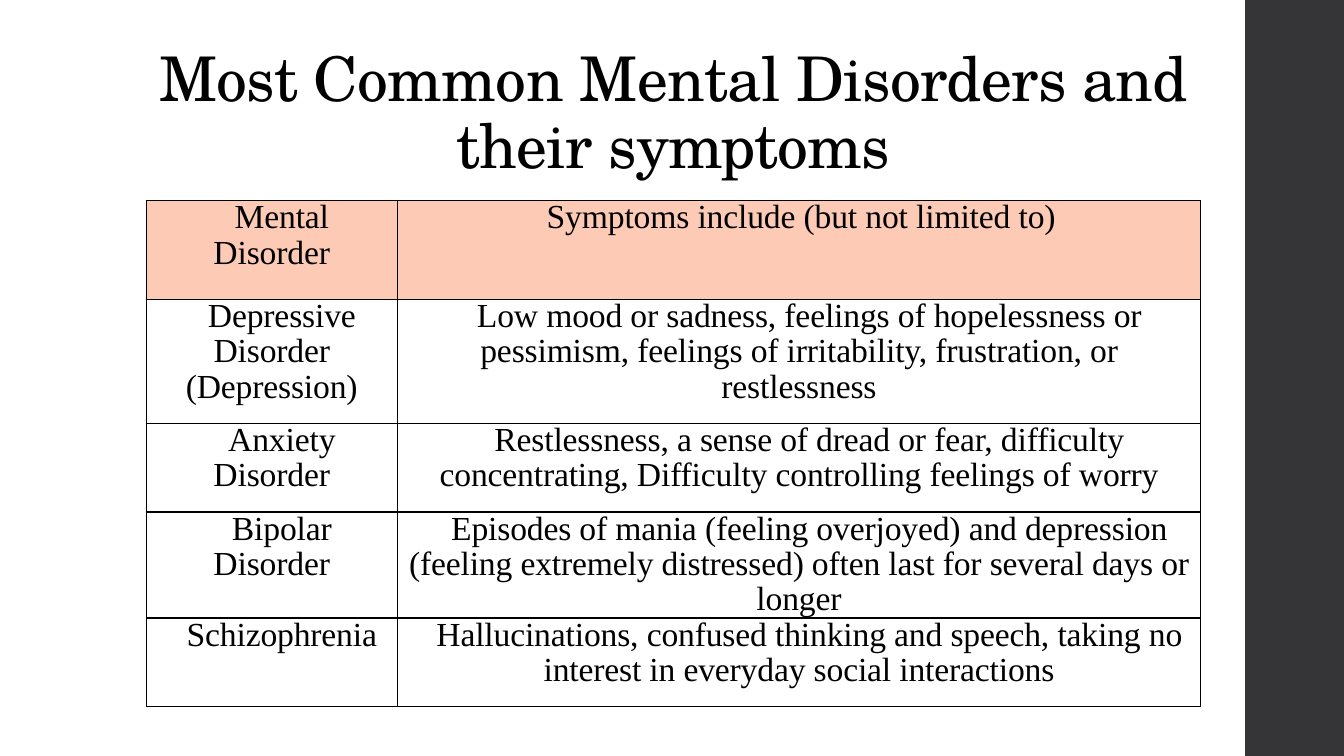
from lxml import etree
from pptx import Presentation
from pptx.dml.color import RGBColor
from pptx.enum.shapes import MSO_SHAPE
from pptx.enum.text import MSO_ANCHOR, MSO_AUTO_SIZE, PP_ALIGN
from pptx.oxml.ns import qn
from pptx.util import Inches, Pt

RECT = MSO_SHAPE.RECTANGLE
TOP, BOTTOM = MSO_ANCHOR.TOP, MSO_ANCHOR.BOTTOM
CENTER = PP_ALIGN.CENTER
NO_FIT = MSO_AUTO_SIZE.NONE

COLORS = {"ink": "000000", "band": "353537", "head": "FDCAB5", "page": "FFFFFF"}
SERIF, SCHOOL = "Times New Roman", "TeX Gyre Schola"

COLS = [2.49, 7.97]
HEIGHTS = [0.98, 1.23, 0.88, 0.88, 0.88]
ROWS = [
    ("Mental Disorder", "Symptoms include (but not limited to)"),
    ("Depressive Disorder (Depression)",
     "Low mood or sadness, feelings of hopelessness or pessimism, "
     "feelings of irritability, frustration, or restlessness"),
    ("Anxiety Disorder",
     "Restlessness, a sense of dread or fear, difficulty concentrating, "
     "Difficulty controlling feelings of worry"),
    ("Bipolar Disorder",
     "Episodes of mania (feeling overjoyed) and depression "
     "(feeling extremely distressed) often last for several days or longer"),
    ("Schizophrenia",
     "Hallucinations, confused thinking and speech, "
     "taking no interest in everyday social interactions"),
]


def color(name):
    return RGBColor.from_string(COLORS[name])


def write(frame, text, size=24, font=SERIF, line=0.95, after=0, indent=0, track=0):
    """Put one centred paragraph in a text frame."""
    frame.word_wrap = True
    para = frame.paragraphs[0]
    para.alignment = CENTER
    para.line_spacing = line
    para.space_after = Pt(after)
    props = para._p.get_or_add_pPr()
    props.set("marL", "0")
    props.set("indent", str(Inches(indent)))
    run = para.add_run()
    run.text = text
    run.font.size = Pt(size)
    run.font.name = font
    run.font.color.rgb = color("ink")
    run.font._element.set("spc", str(round(track * 100)))


def outline(cell, width=1):
    """Draw the four borders of a cell, ahead of its fill."""
    props = cell._tc.get_or_add_tcPr()
    for spot, side in enumerate(("lnL", "lnR", "lnT", "lnB")):
        line = etree.Element(qn("a:" + side), w=str(Pt(width)))
        fill = etree.SubElement(line, qn("a:solidFill"))
        etree.SubElement(fill, qn("a:srgbClr"), val=COLORS["ink"])
        props.insert(spot, line)


def add_band(slide, x, y, w, h):
    band = slide.shapes.add_shape(RECT, Inches(x), Inches(y), Inches(w), Inches(h))
    band.shadow.inherit = False
    band.fill.solid()
    band.fill.fore_color.rgb = color("band")
    band.line.fill.background()


def add_title(slide, x, y, w, h):
    title = slide.shapes.title
    title.left, title.top = Inches(x), Inches(y)
    title.width, title.height = Inches(w), Inches(h)
    frame = title.text_frame
    frame.auto_size = NO_FIT
    frame.vertical_anchor = BOTTOM
    write(frame, "Most Common Mental Disorders and their symptoms",
          size=44, font=SCHOOL, line=0.9, track=-0.5)


def add_grid(slide, x, y):
    grid = slide.shapes.add_table(
        len(ROWS), len(COLS), Inches(x), Inches(y),
        Inches(sum(COLS)), Inches(sum(HEIGHTS))).table
    grid.horz_banding = False
    for col, width in zip(grid.columns, COLS):
        col.width = Inches(width)
    for row, height in zip(grid.rows, HEIGHTS):
        row.height = Inches(height)
    for r, texts in enumerate(ROWS):
        for c, text in enumerate(texts):
            cell = grid.cell(r, c)
            cell.margin_left = cell.margin_right = Inches(0.07)
            cell.margin_top = cell.margin_bottom = 0
            cell.vertical_anchor = TOP
            if r == 0:
                cell.fill.solid()
                cell.fill.fore_color.rgb = color("head")
            else:
                cell.fill.background()
            outline(cell)
            # The wide heading sits nearer the middle of its column
            indent = 0.04 if (r, c) == (0, 1) else 0.2
            write(cell.text_frame, text, after=6, indent=indent, track=-0.1)
            cell.text_frame.paragraphs[0].runs[0].font.bold = False


def main():
    deck = Presentation()
    deck.slide_width, deck.slide_height = Inches(13.33), Inches(7.5)
    slide = deck.slides.add_slide(deck.slide_layouts[5])
    slide.background.fill.solid()
    slide.background.fill.fore_color.rgb = color("page")
    # Side band, heading, table of disorders
    add_band(slide, 12.35, 0, 0.98, 7.5)
    add_title(slide, 1.38, 0.4, 10.6, 1.45)
    add_grid(slide, 1.45, 1.99)
    deck.save("out.pptx")


if __name__ == "__main__":
    main()
